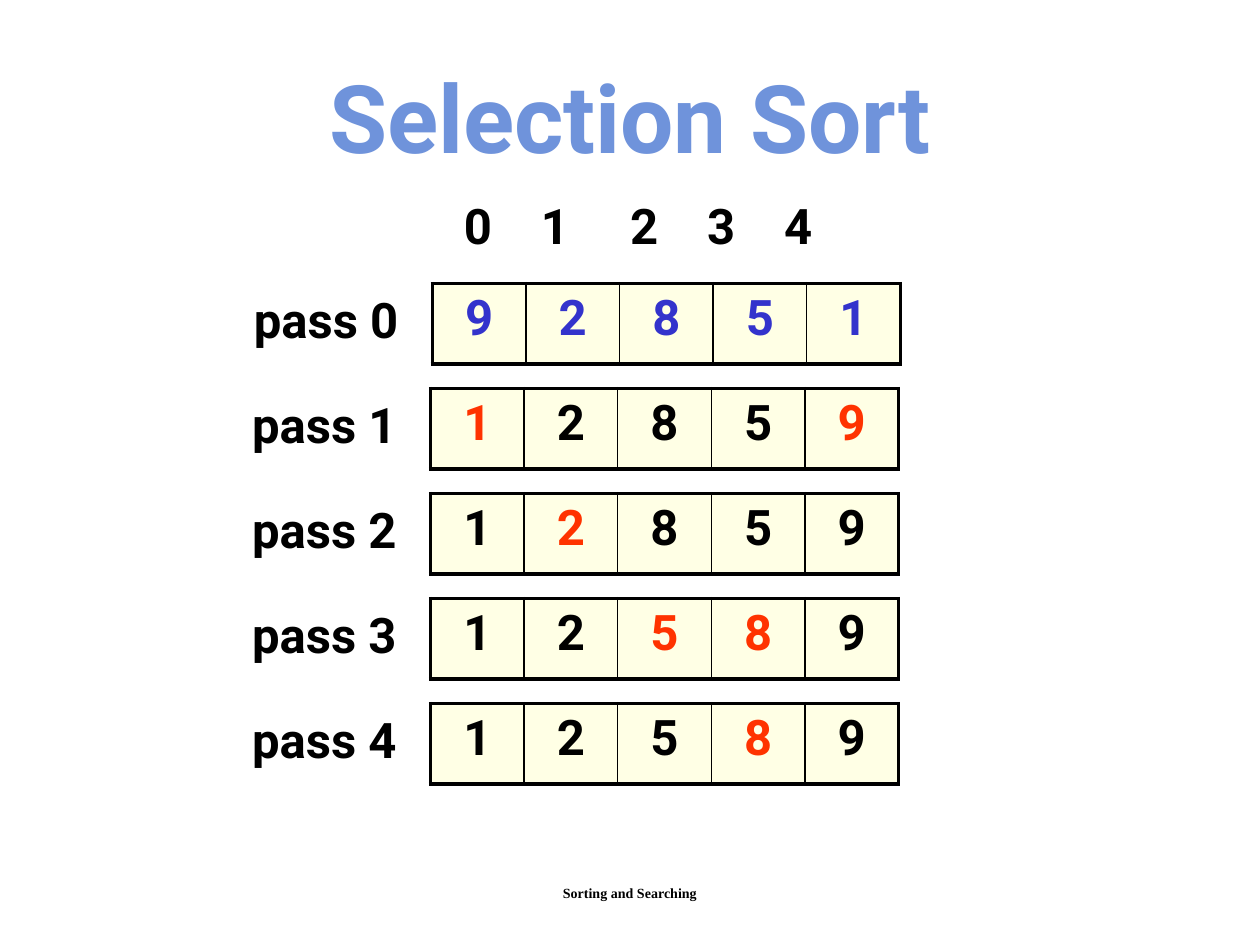
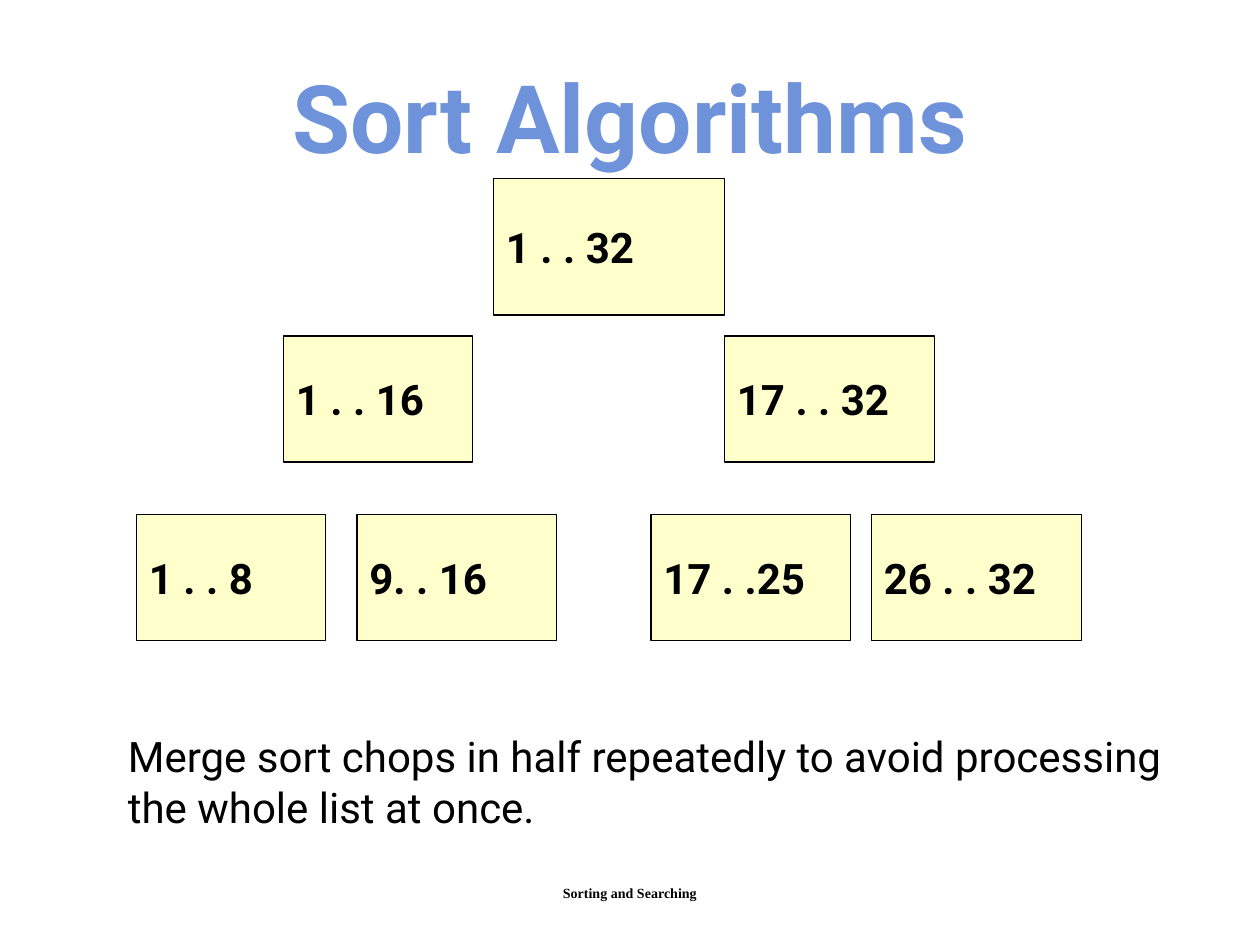
"""Build two slides on selection sort and merge sort."""
from dataclasses import dataclass

from lxml import etree
from pptx import Presentation
from pptx import util as u
from pptx.dml.color import RGBColor
from pptx.enum import shapes, text
from pptx.oxml import ns

BLACK = RGBColor(0x00, 0x00, 0x00)
TITLE_BLUE = RGBColor(0x6F, 0x93, 0xDB)
START_BLUE = RGBColor(0x33, 0x33, 0xCC)
MOVED_RED = RGBColor(0xFF, 0x33, 0x00)
CREAM = RGBColor(0xFF, 0xFF, 0xCC)

TITLE = {"name": "Roboto", "size": u.Pt(54), "bold": True}
LARGE = {"name": "Roboto", "size": u.Pt(28), "bold": True}
RANGE = {"name": "Roboto", "size": u.Pt(24), "bold": True}
BODY = {"name": "Roboto", "size": u.Pt(24), "bold": False}
FOOTER = {"name": "Times New Roman", "size": u.Pt(8), "bold": True}

LEFT = text.PP_ALIGN.LEFT
CENTER = text.PP_ALIGN.CENTER
TOP = text.MSO_ANCHOR.TOP
MIDDLE = text.MSO_ANCHOR.MIDDLE

FIRST_PASS_TOP = 162
PASS_PITCH = 60
CELL_WIDTH = 53.5
ROW_HEIGHT = 46
INDEX_TABS = (44, 95, 139, 183)
THICK, THIN = 2.25, 1


@dataclass(frozen=True)
class Area:
    """A rectangle in points."""

    left: float
    top: float
    width: float
    height: float

    def lengths(self) -> tuple:
        """Give the four sides as lengths."""
        return tuple(u.Pt(side) for side in (self.left, self.top, self.width, self.height))


@dataclass(frozen=True)
class SortPass:
    """The list after one pass, with the positions to highlight."""

    values: str
    marked: tuple
    mark_color: RGBColor = MOVED_RED
    shift: float = 0


@dataclass(frozen=True)
class RangeBox:
    """One part of the list in the merge sort tree."""

    label: str
    left: float
    width: float


@dataclass(frozen=True)
class TreeLevel:
    """One row of boxes in the merge sort tree."""

    top: float
    height: float
    boxes: tuple


PASSES = (
    SortPass("92851", (0, 1, 2, 3, 4), START_BLUE, 1),
    SortPass("12859", (0, 4)),
    SortPass("12859", (1,)),
    SortPass("12589", (2, 3)),
    SortPass("12589", (3,)),
)

LEVELS = (
    TreeLevel(102, 78, (RangeBox("1 . . 32", 282, 132),)),
    TreeLevel(192, 72, (RangeBox("1 . . 16", 162, 108), RangeBox("17 . . 32", 414, 120))),
    TreeLevel(294, 72, (
        RangeBox("1 . . 8", 78, 108),
        RangeBox("9. . 16", 204, 114),
        RangeBox("17 . .25", 372, 114),
        RangeBox("26 . . 32", 498, 120),
    )),
)


def write(frame, words: str, style: dict, color: RGBColor = BLACK,
          align=LEFT, anchor=TOP):
    """Put one formatted paragraph in a text frame and return it."""
    for name, value in {"word_wrap": True, "vertical_anchor": anchor}.items():
        setattr(frame, name, value)
    para = frame.paragraphs[0]
    para.alignment = align
    span = para.add_run()
    span.text = words
    for name, value in style.items():
        setattr(span.font, name, value)
    span.font.color.rgb = color
    return para


def add_text(page, area: Area, words: str, style: dict, align=LEFT, anchor=TOP):
    """Add a text box and return its paragraph."""
    box = page.shapes.add_textbox(*area.lengths())
    return write(box.text_frame, words, style, align=align, anchor=anchor)


def add_page(deck, heading: str):
    """Add a slide with the shared title and footer."""
    page = deck.slides.add_slide(deck.slide_layouts[5])
    title = page.shapes.title
    sides = Area(0, 30, 720, 73).lengths()
    for name, value in zip(("left", "top", "width", "height"), sides):
        setattr(title, name, value)
    title.text_frame.auto_size = text.MSO_AUTO_SIZE.NONE
    write(title.text_frame, heading, TITLE, TITLE_BLUE, CENTER)
    add_text(page, Area(246, 492, 228, 36), "Sorting and Searching", FOOTER, CENTER, MIDDLE)
    return page


def set_borders(cell, widths: dict) -> None:
    """Give a cell solid black borders of the stated widths."""
    properties = cell._tc.get_or_add_tcPr()
    for place, (side, width) in enumerate(widths.items()):
        line = etree.Element(ns.qn(f"a:ln{side}"), w=str(u.Pt(width)))
        solid = etree.SubElement(line, ns.qn("a:solidFill"))
        etree.SubElement(solid, ns.qn("a:srgbClr"), val=str(BLACK))
        properties.insert(place, line)


def set_cream(cell) -> None:
    """Fill a cell with half transparent cream."""
    cell.fill.solid()
    cell.fill.fore_color.rgb = CREAM
    color = cell._tc.tcPr.find(".//" + ns.qn("a:srgbClr"))
    etree.SubElement(color, ns.qn("a:alpha"), val="50000")


def add_pass(page, number: int, sort_pass: SortPass) -> None:
    """Draw the label and the one-row table of a pass."""
    top = FIRST_PASS_TOP + number * PASS_PITCH
    add_text(page, Area(137 + sort_pass.shift, top, 104, 41), f"pass {number}", LARGE)
    count = len(sort_pass.values)
    area = Area(246 + sort_pass.shift, top, count * CELL_WIDTH, ROW_HEIGHT)
    table = page.shapes.add_table(1, count, *area.lengths()).table
    for name in ("first_row", "horz_banding"):
        setattr(table, name, False)
    for column, value in enumerate(sort_pass.values):
        cell = table.cell(0, column)
        color = sort_pass.mark_color if column in sort_pass.marked else BLACK
        write(cell.text_frame, value, LARGE, color, CENTER)
        set_cream(cell)
        set_borders(cell, {
            "L": THICK if column == 0 else THIN,
            "R": THICK if column == count - 1 else THIN,
            "T": THICK,
            "B": THICK,
        })


def add_indexes(page) -> None:
    """Write the list positions above the passes."""
    para = add_text(page, Area(258, 108, 246, 41), "\t".join("01234"), LARGE)
    tabs = etree.SubElement(para._p.get_or_add_pPr(), ns.qn("a:tabLst"))
    for stop in INDEX_TABS:
        etree.SubElement(tabs, ns.qn("a:tab"), pos=str(u.Pt(stop)), algn="l")


def add_range(page, level: TreeLevel, part: RangeBox) -> None:
    """Draw one box of the merge sort tree."""
    area = Area(part.left, level.top, part.width, level.height)
    box = page.shapes.add_shape(shapes.MSO_SHAPE.RECTANGLE, *area.lengths())
    box.shadow.inherit = False
    box.fill.solid()
    box.fill.fore_color.rgb = CREAM
    box.line.color.rgb = BLACK
    box.line.width = u.Pt(0.75)
    write(box.text_frame, part.label, RANGE, anchor=MIDDLE)


def build() -> None:
    """Build and save the deck."""
    deck = Presentation()
    deck.slide_width, deck.slide_height = u.Pt(720), u.Pt(540)

    page = add_page(deck, "Selection Sort")
    add_indexes(page)
    for number, sort_pass in enumerate(PASSES):
        add_pass(page, number, sort_pass)

    page = add_page(deck, "Sort Algorithms")
    for level in LEVELS:
        for part in level.boxes:
            add_range(page, level, part)
    add_text(page, Area(66, 414, 612, 74),
             "Merge sort chops in half repeatedly to avoid processing "
             "the whole list at once.", BODY)

    deck.save("out.pptx")


build()
